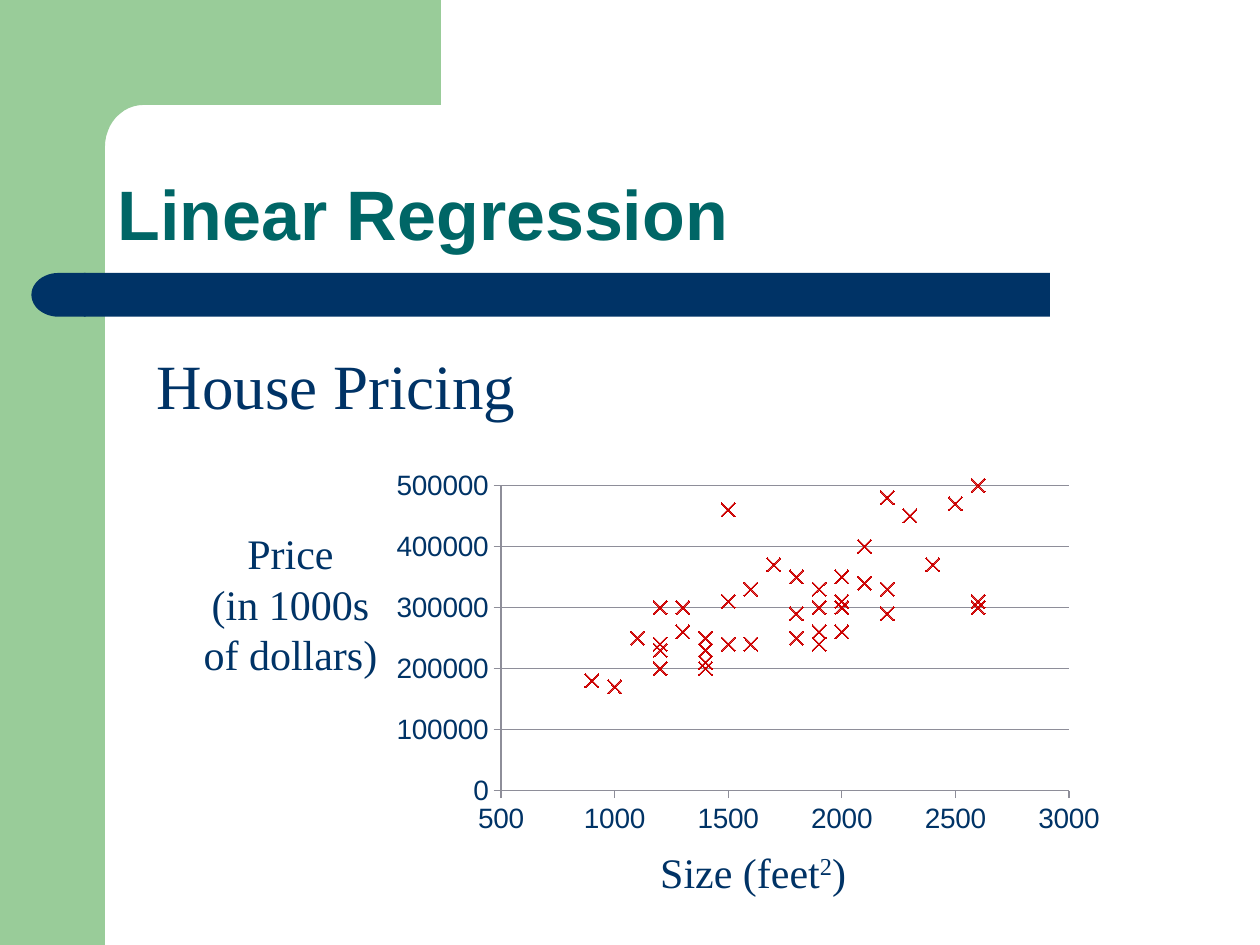
import math

import lxml.etree
import pptx
import pptx.chart.data
import pptx.dml.color
import pptx.enum.chart
import pptx.enum.shapes
import pptx.enum.text
import pptx.oxml
import pptx.oxml.ns
import pptx.util

Pt = pptx.util.Pt
Shapes = pptx.enum.shapes.MSO_SHAPE
Align = pptx.enum.text.PP_ALIGN
Anchor = pptx.enum.text.MSO_ANCHOR
qn = pptx.oxml.ns.qn

COLORS = {
    "green": "99CC99",
    "navy": "003366",
    "teal": "006666",
    "red": "CC0000",
    "grid": "8E8E99",
}


def paint(shape, color):
    shape.shadow.inherit = False
    shape.fill.solid()
    shape.fill.fore_color.rgb = pptx.dml.color.RGBColor.from_string(COLORS[color])
    shape.line.fill.background()


def add_text(text, left=0, top=0, width=0, height=0, shape=None, size=24,
             font="Times New Roman", color="navy", bold=False, align=Align.LEFT,
             anchor=Anchor.TOP, wrap=True, spacing=None):
    """Each line is a paragraph; text between ^ marks is superscript."""
    if shape is None:
        shape = slide.shapes.add_textbox(Pt(left), Pt(top), Pt(width), Pt(height))
    frame = shape.text_frame
    frame.word_wrap = wrap
    frame.vertical_anchor = anchor
    for index, line in enumerate(text.split("\n")):
        paragraph = frame.add_paragraph() if index else frame.paragraphs[0]
        paragraph.alignment = align
        if spacing:
            paragraph.line_spacing = spacing
        for part, piece in enumerate(line.split("^")):
            run = paragraph.add_run()
            run.text = piece
            run.font.size = Pt(size)
            run.font.name = font
            run.font.bold = bold
            run.font.color.rgb = pptx.dml.color.RGBColor.from_string(COLORS[color])
            if part % 2:
                run.font._element.set("baseline", "30000")


presentation = pptx.Presentation()
presentation.slide_width, presentation.slide_height = Pt(720), Pt(540)
slide = presentation.slides.add_slide(presentation.slide_layouts[6])

# Green side band
band = slide.shapes.add_shape(Shapes.RECTANGLE, 0, 0, Pt(60), Pt(540))
paint(band, "green")

# Green top block with a rounded inner corner, in tenths of a point
corner = []
for step in range(13):
    angle = math.pi / 2 * step / 12
    corner.append((820 - 220 * math.sin(angle), 840 - 240 * math.cos(angle)))
outline = [(2520, 600)] + corner + [(600, 920), (360, 920), (360, 0)]
builder = slide.shapes.build_freeform(2520, 0, scale=Pt(0.1))
builder.add_line_segments(outline, close=True)
paint(builder.convert_to_shape(), "green")

# Navy bar with a round left end
bar = slide.shapes.add_shape(Shapes.RECTANGLE, Pt(48), Pt(156), Pt(552), Pt(25))
paint(bar, "navy")
bar_end = slide.shapes.add_shape(Shapes.FLOWCHART_DELAY, Pt(18), Pt(156), Pt(31), Pt(25))
paint(bar_end, "navy")
bar_end._element.spPr.find(qn("a:xfrm")).set("flipH", "1")

# Title; the small margins make up for the inset of the rounded corners
title = slide.shapes.add_shape(Shapes.ROUNDED_RECTANGLE, Pt(60), Pt(62), Pt(624), Pt(90))
title.adjustments[0] = 0.22
title.shadow.inherit = False
title.fill.background()
title.line.fill.background()
title.text_frame.margin_left = Pt(1.5)
title.text_frame.margin_bottom = 0
add_text("Linear Regression", shape=title, size=40, font="Arial", color="teal",
         bold=True, anchor=Anchor.BOTTOM, spacing=0.9)

# House sizes (hundreds of square feet) and prices (tens of thousands)
houses = [
    (21, 40), (16, 33), (24, 37), (14, 23), (30, 54), (20, 30), (15, 31), (14, 20),
    (14, 21), (15, 24), (19, 24), (20, 35), (19, 33), (45, 70), (13, 26), (23, 45),
    (13, 30), (12, 20), (26, 50), (30, 60), (18, 25), (19, 26), (16, 24), (20, 26),
    (39, 57), (11, 25), (15, 46), (25, 47), (22, 48), (26, 30), (18, 35), (10, 17),
    (20, 31), (31, 58), (18, 29), (14, 25), (12, 23), (21, 34), (42, 55), (22, 29),
    (17, 37), (22, 33), (26, 31), (12, 30), (9, 18), (19, 30), (12, 24),
]
data = pptx.chart.data.XyChartData()
prices = data.add_series("Series 1")
for size, price in houses:
    prices.add_data_point(size * 100, price * 10000)

# Scatter chart
chart_left, chart_top, chart_width, chart_height = 218, 264, 419, 216
chart = slide.shapes.add_chart(
    pptx.enum.chart.XL_CHART_TYPE.XY_SCATTER,
    Pt(chart_left), Pt(chart_top), Pt(chart_width), Pt(chart_height), data).chart
chart.has_legend = False
chart.has_title = False
chart.font.size = Pt(16)
chart.font.name = "Arial"
chart.font.color.rgb = pptx.dml.color.RGBColor.from_string(COLORS["navy"])
chart.plots[0].vary_by_categories = False

series = chart.plots[0].series[0]
series.smooth = False
series.format.line.fill.background()
series.marker.style = pptx.enum.chart.XL_MARKER_STYLE.X
series.marker.size = 8
series.marker.format.fill.background()
series.marker.format.line.color.rgb = pptx.dml.color.RGBColor.from_string(COLORS["red"])
series.marker.format.line.width = Pt(0.75)

# Axes and horizontal gridlines
chart.category_axis.has_major_gridlines = False
chart.value_axis.has_major_gridlines = True
lines = [chart.value_axis.major_gridlines.format.line]
for axis, low, high, unit in ((chart.category_axis, 500, 3000, 500),
                              (chart.value_axis, 0, 500000, 100000)):
    axis.minimum_scale, axis.maximum_scale, axis.major_unit = low, high, unit
    axis.major_tick_mark = pptx.enum.chart.XL_TICK_MARK.OUTSIDE
    axis.minor_tick_mark = pptx.enum.chart.XL_TICK_MARK.NONE
    axis.tick_labels.number_format = "General"
    axis.tick_labels.number_format_is_linked = False
    lines.append(axis.format.line)
for line in lines:
    line.color.rgb = pptx.dml.color.RGBColor.from_string(COLORS["grid"])
    line.width = Pt(0.75)

# Fixed place of the plot inside the chart
plot_area = chart._chartSpace.chart.plotArea
for layout in plot_area.findall(qn("c:layout")):
    plot_area.remove(layout)
layout = lxml.etree.Element(qn("c:layout"))
manual = lxml.etree.SubElement(layout, qn("c:manualLayout"))
for tag, value in (("layoutTarget", "inner"), ("xMode", "edge"), ("yMode", "edge"),
                   ("x", 68.3 / chart_width), ("y", 13.4 / chart_height),
                   ("w", 324.6 / chart_width), ("h", 174.5 / chart_height)):
    lxml.etree.SubElement(manual, qn("c:" + tag)).set("val", str(value))
plot_area.insert(0, layout)

# Axis names and subtitle
add_text("Price\n(in 1000s of dollars)", 104, 298, 124, 94, align=Align.CENTER)
add_text("Size (feet^2^)", 370.2, 480, 122, 36, wrap=False)
add_text("House Pricing", 82.4, 194.5, 220, 51, size=36, wrap=False)

presentation.save("out.pptx")
